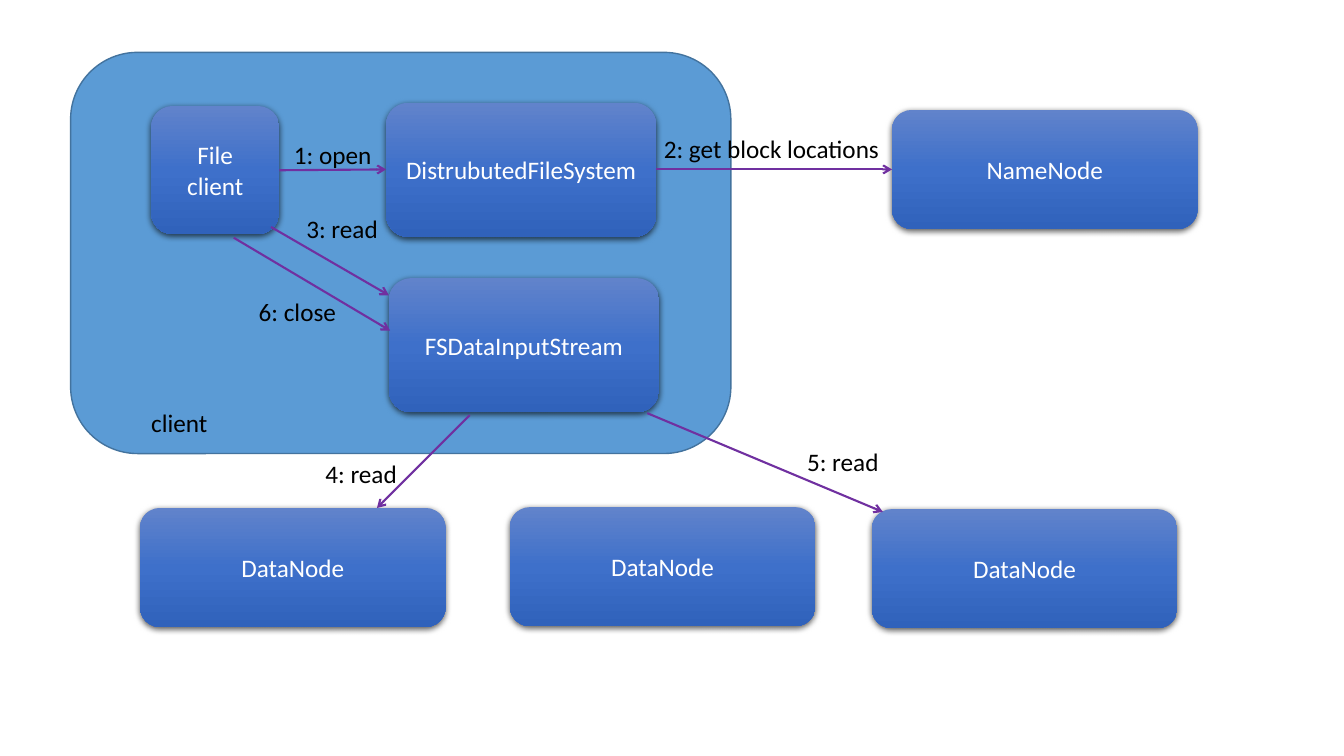
import copy
import dataclasses

import pptx
import pptx.dml.color
import pptx.enum.shapes
import pptx.enum.text
import pptx.oxml
import pptx.oxml.ns
import pptx.util

Cm = pptx.util.Cm
Pt = pptx.util.Pt
ROUNDED = pptx.enum.shapes.MSO_SHAPE.ROUNDED_RECTANGLE
NAMESPACE = pptx.oxml.ns.nsdecls("a")

COLOURS = {
    "zone": "5B9BD5",
    "zone_edge": "43739E",
    "node_top": "6183CB",
    "node_middle": "3E70CA",
    "node_bottom": "3062BB",
    "shadow": "000000",
    "arrow": "7030A0",
    "node_text": "FFFFFF",
    "label_text": "000000",
}
FONT = "Calibri"
LABEL_HEIGHT = 1.03
SERVER_SIZE = (7.7, 3.0)
STREAM_SIZE = (6.81, 3.38)


@dataclasses.dataclass(frozen=True)
class Node:
    name: str
    left: float
    top: float
    size: tuple[float, float]


@dataclasses.dataclass(frozen=True)
class Arrow:
    start: tuple[float, float]
    end: tuple[float, float]


@dataclasses.dataclass(frozen=True)
class Label:
    text: str
    left: float
    top: float
    width: float


NODES = [
    Node("NameNode", 22.48, 2.77, SERVER_SIZE),
    Node("DataNode", 21.97, 12.83, SERVER_SIZE),
    Node("DataNode", 12.85, 12.78, SERVER_SIZE),
    Node("DataNode", 3.53, 12.8, SERVER_SIZE),
    Node("File client", 3.81, 2.67, (3.23, 3.23)),
    Node("DistrubutedFileSystem", 9.73, 2.59, STREAM_SIZE),
    Node("FSDataInputStream", 9.8, 7.01, STREAM_SIZE),
]
ARROWS = [
    Arrow((7.04, 4.29), (9.73, 4.27)),
    Arrow((16.54, 4.27), (22.48, 4.27)),
    Arrow((6.83, 5.72), (9.8, 7.44)),
    Arrow((5.89, 5.99), (9.83, 8.33)),
    Arrow((11.84, 10.46), (9.5, 12.8)),
    Arrow((16.31, 10.41), (22.25, 12.9)),
]
LABELS = [
    Label("1: open", 7.16, 3.38, 2.46),
    Label("2: get block locations", 16.48, 3.23, 5.94),
    Label("3: read", 7.47, 5.26, 2.31),
    Label("4: read", 7.95, 11.43, 2.31),
    Label("5: read", 20.09, 11.13, 2.31),
    Label("6: close", 6.27, 7.34, 2.46),
    Label("client", 3.56, 10.13, 1.93),
]


def colour(name: str) -> pptx.dml.color.RGBColor:
    return pptx.dml.color.RGBColor.from_string(COLOURS[name])


def add_text(box, text: str, colour_name: str, alignment) -> None:
    para = box.text_frame.paragraphs[0]
    para.alignment = alignment
    span = para.add_run()
    span.text = text
    span.font.name = FONT
    span.font.size = Pt(18)
    span.font.color.rgb = colour(colour_name)


def fill_gradient(box) -> None:
    box.fill.gradient()
    box.fill.gradient_angle = 270
    stops = box._element.spPr.find(".//" + pptx.oxml.ns.qn("a:gsLst"))
    stops.insert(1, copy.deepcopy(stops[0]))
    names = ("node_top", "node_middle", "node_bottom")
    for index, (stop, name) in enumerate(zip(box.fill.gradient_stops, names)):
        stop.position = index / 2
        stop.color.rgb = colour(name)


def add_shadow(box) -> None:
    box.shadow.inherit = False
    effects = box._element.spPr.find(pptx.oxml.ns.qn("a:effectLst"))
    effects.append(pptx.oxml.parse_xml(
        f'<a:outerShdw {NAMESPACE} blurRad="{Pt(4.5)}" dist="{Pt(1.5)}" '
        f'dir="5400000" algn="ctr" rotWithShape="0">'
        f'<a:srgbClr val="{COLOURS["shadow"]}"><a:alpha val="63000"/></a:srgbClr>'
        f'</a:outerShdw>'))


def draw_zone(page) -> None:
    zone = page.shapes.add_shape(ROUNDED, Cm(1.78), Cm(1.32), Cm(16.64), Cm(10.11))
    zone.shadow.inherit = False
    zone.fill.solid()
    zone.fill.fore_color.rgb = colour("zone")
    zone.line.color.rgb = colour("zone_edge")
    zone.line.width = Pt(1)


def draw_node(page, node: Node) -> None:
    width, height = node.size
    box = page.shapes.add_shape(
        ROUNDED, Cm(node.left), Cm(node.top), Cm(width), Cm(height))
    fill_gradient(box)
    box.line.fill.background()
    add_shadow(box)
    box.text_frame.word_wrap = True
    box.text_frame.vertical_anchor = pptx.enum.text.MSO_ANCHOR.MIDDLE
    add_text(box, node.name, "node_text", pptx.enum.text.PP_ALIGN.CENTER)


def draw_arrow(page, arrow: Arrow) -> None:
    line = page.shapes.add_connector(
        pptx.enum.shapes.MSO_CONNECTOR.STRAIGHT,
        *(Cm(value) for value in arrow.start + arrow.end))
    line.line.color.rgb = colour("arrow")
    line.line.width = Pt(1.5)
    line.line._get_or_add_ln().append(
        pptx.oxml.parse_xml(f'<a:tailEnd {NAMESPACE} type="arrow"/>'))
    line._element.spPr.append(pptx.oxml.parse_xml(f"<a:effectLst {NAMESPACE}/>"))


def draw_label(page, label: Label) -> None:
    box = page.shapes.add_textbox(
        Cm(label.left), Cm(label.top), Cm(label.width), Cm(LABEL_HEIGHT))
    box.text_frame.word_wrap = False
    box.text_frame.auto_size = pptx.enum.text.MSO_AUTO_SIZE.SHAPE_TO_FIT_TEXT
    add_text(box, label.text, "label_text", pptx.enum.text.PP_ALIGN.LEFT)


def main() -> None:
    deck = pptx.Presentation()
    deck.slide_width = Cm(33.87)
    deck.slide_height = Cm(19.05)
    page = deck.slides.add_slide(deck.slide_layouts[6])

    # Client area behind everything
    draw_zone(page)

    # Nodes, then the calls between them
    for node in NODES:
        draw_node(page, node)
    for arrow in ARROWS:
        draw_arrow(page, arrow)
    for label in LABELS:
        draw_label(page, label)

    deck.save("out.pptx")


if __name__ == "__main__":
    main()
